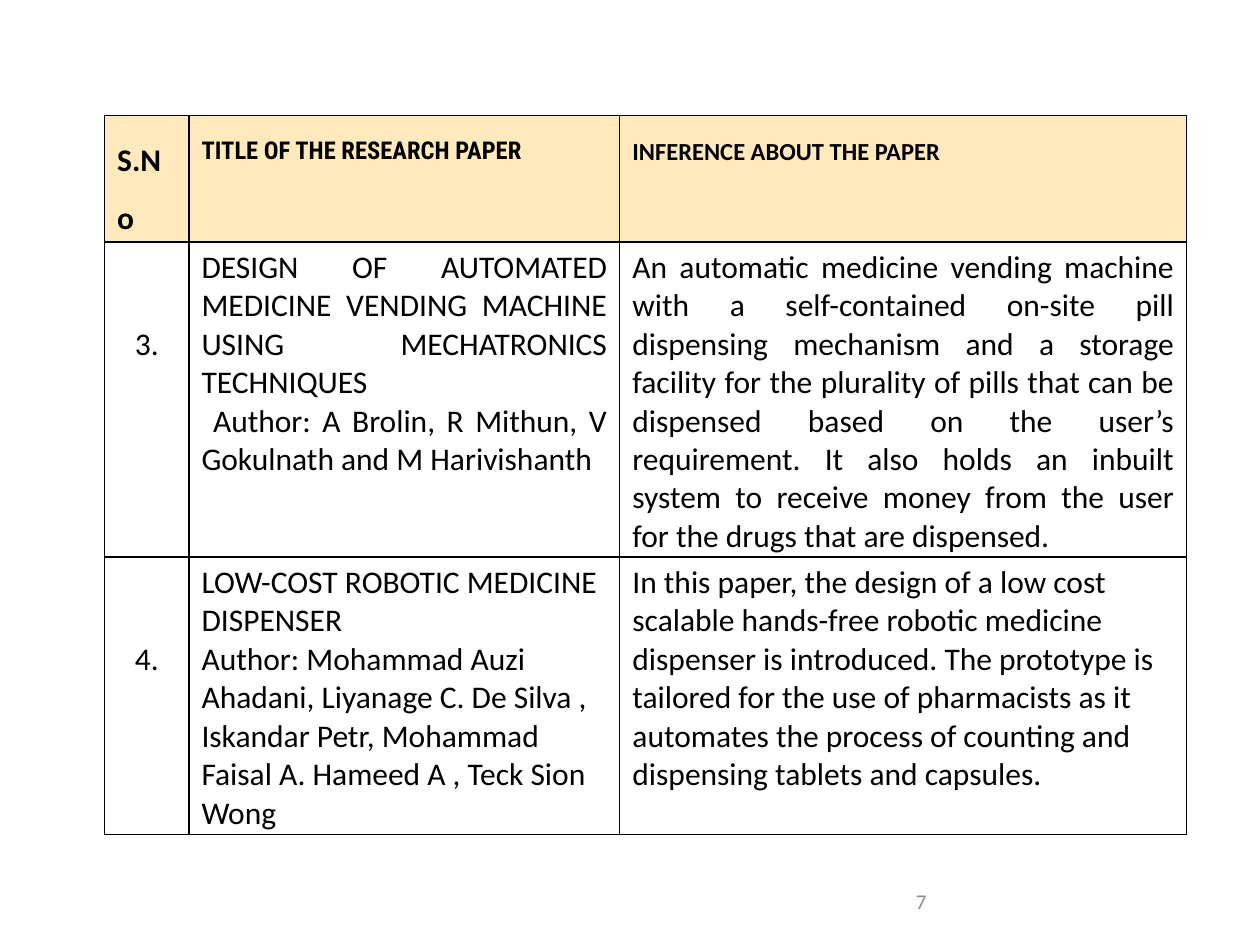
from dataclasses import dataclass

from lxml.etree import SubElement
from pptx import Presentation
from pptx.dml.color import RGBColor
from pptx.enum.text import MSO_ANCHOR, PP_ALIGN
from pptx.oxml.ns import qn
from pptx.util import Inches, Pt


@dataclass(frozen=True)
class Theme:
    """Colours, fonts and type sizes of the slide."""
    ink: str = "000000"
    muted: str = "8C8C8C"
    header_fill: str = "FFE9BD"
    font: str = "Calibri"
    condensed: str = "Roboto Condensed"
    body_size: int = 18
    label_size: int = 14
    number_size: int = 12
    border: float = 0.75


THEME = Theme()
COLUMN_WIDTHS = (0.67, 3.42, 4.5)
ROW_HEIGHTS = (0.52, 1.6, 1.66)
NUMBER_TOP_MARGIN = 0.66
HEADERS = (
    ("S.No", THEME.font, THEME.body_size),
    ("TITLE OF THE RESEARCH PAPER", THEME.condensed, THEME.label_size),
    ("INFERENCE ABOUT THE PAPER", THEME.font, THEME.label_size),
)
PAPERS = (
    ("3.",
     "DESIGN OF AUTOMATED MEDICINE VENDING MACHINE USING MECHATRONICS TECHNIQUES\n"
     " Author: A Brolin, R Mithun, V Gokulnath and M Harivishanth",
     "An automatic medicine vending machine with a self-contained on-site pill "
     "dispensing mechanism and a storage facility for the plurality of pills that "
     "can be dispensed based on the user’s requirement. It also holds an inbuilt "
     "system to receive money from the user for the drugs that are dispensed.",
     PP_ALIGN.JUSTIFY),
    ("4.",
     "LOW-COST ROBOTIC MEDICINE DISPENSER\n"
     "Author: Mohammad Auzi Ahadani, Liyanage C. De Silva , Iskandar Petr, "
     "Mohammad Faisal A. Hameed A , Teck Sion Wong",
     "In this paper, the design of a low cost scalable hands-free robotic medicine "
     "dispenser is introduced. The prototype is tailored for the use of pharmacists "
     "as it automates the process of counting and dispensing tablets and capsules.",
     PP_ALIGN.LEFT),
)


def write_text(frame, text, align, size=THEME.body_size, font=THEME.font,
               color=THEME.ink, bold=False, line_spacing=None):
    """Fill a text frame and format every paragraph alike."""
    frame.text = text
    for para in frame.paragraphs:
        para.alignment = align
        para.line_spacing = line_spacing
        for span in para.runs:
            span.font.size = Pt(size)
            span.font.name = font
            span.font.bold = bold
            span.font.color.rgb = RGBColor.from_string(color)


def add_borders(cell):
    """Draw a thin line on all four sides of a cell."""
    properties = cell._tc.get_or_add_tcPr()
    for side in ("a:lnL", "a:lnR", "a:lnT", "a:lnB"):
        line = SubElement(properties, qn(side), w=str(Pt(THEME.border)))
        fill = SubElement(line, qn("a:solidFill"))
        SubElement(fill, qn("a:srgbClr"), val=THEME.ink)


def style_cell(cell, fill=None):
    """Give a cell its borders and its fill."""
    add_borders(cell)
    if fill:
        cell.fill.solid()
        cell.fill.fore_color.rgb = RGBColor.from_string(fill)
    else:
        cell.fill.background()


def add_paper_table(page):
    """Add the table of research papers."""
    frame = page.shapes.add_table(len(ROW_HEIGHTS), len(COLUMN_WIDTHS), Inches(0.83),
                                  Inches(0.92), Inches(8.59), Inches(5.7))
    table = frame.table
    table.first_row = table.horz_banding = False
    for column, width in zip(table.columns, COLUMN_WIDTHS):
        column.width = Inches(width)
    for row, height in zip(table.rows, ROW_HEIGHTS):
        row.height = Inches(height)
    frame.height = Inches(5.7)

    for cell, (label, font, size) in zip(table.rows[0].cells, HEADERS):
        style_cell(cell, THEME.header_fill)
        write_text(cell.text_frame, label, PP_ALIGN.JUSTIFY, size, font,
                   bold=True, line_spacing=1.5)

    for index, (number, title, inference, align) in enumerate(PAPERS, start=1):
        cells = list(table.rows[index].cells)
        aligns = (PP_ALIGN.CENTER, align, align)
        for cell, text, cell_align in zip(cells, (number, title, inference), aligns):
            style_cell(cell)
            write_text(cell.text_frame, text, cell_align)
        cells[0].margin_top = Inches(NUMBER_TOP_MARGIN)


def add_page_number(page, number):
    """Add the page number at the bottom."""
    box = page.shapes.add_textbox(Inches(7.17), Inches(6.95), Inches(2.33), Inches(0.4))
    box.text_frame.word_wrap = True
    box.text_frame.vertical_anchor = MSO_ANCHOR.MIDDLE
    write_text(box.text_frame, number, PP_ALIGN.LEFT, THEME.number_size,
               color=THEME.muted)


def main():
    """Build the slide and save it."""
    deck = Presentation()
    deck.slide_width, deck.slide_height = Inches(10), Inches(7.5)
    page = deck.slides.add_slide(deck.slide_layouts[6])
    add_page_number(page, "7")
    add_paper_table(page)
    deck.save("out.pptx")


if __name__ == "__main__":
    main()
